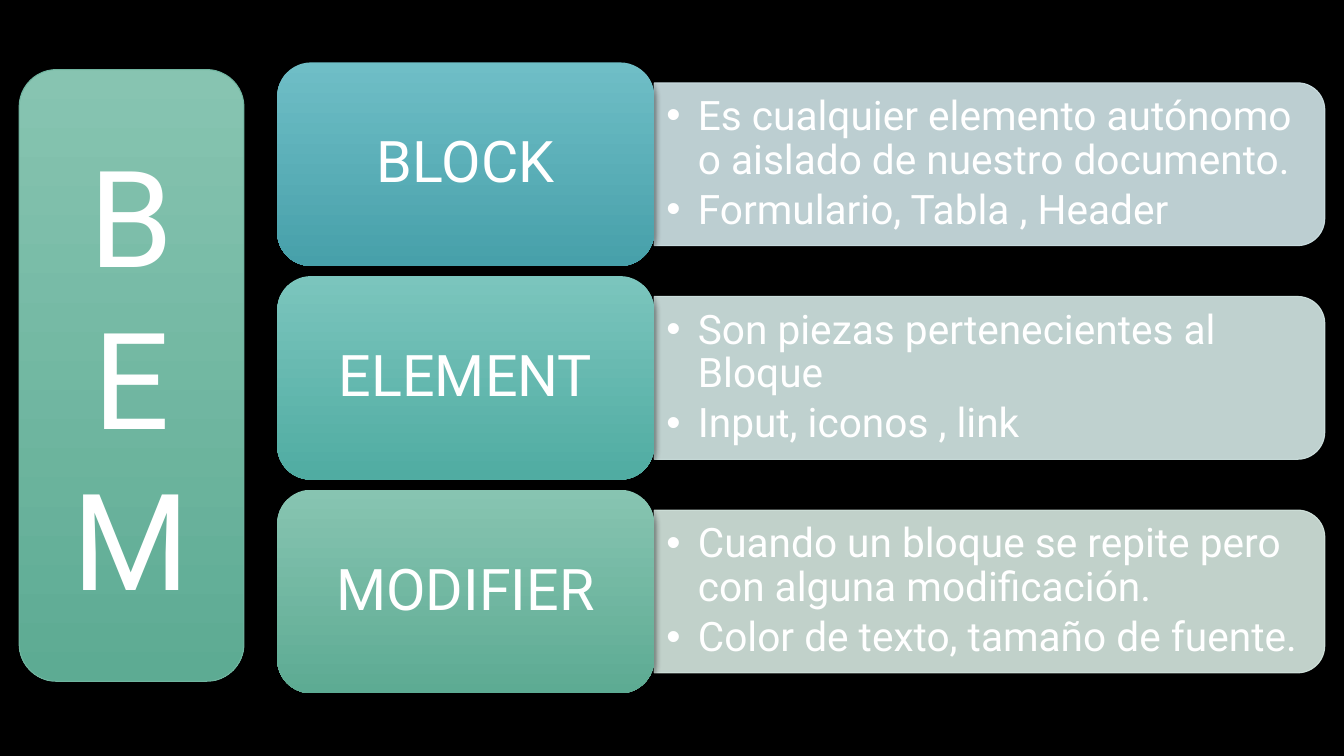
from dataclasses import dataclass

import lxml.etree
import pptx
import pptx.dml.color
import pptx.enum.shapes
import pptx.enum.text
import pptx.oxml.ns
import pptx.shapes.autoshape
import pptx.shapes.base
import pptx.slide
import pptx.util

Pt = pptx.util.Pt
RGBColor = pptx.dml.color.RGBColor
MSO_SHAPE = pptx.enum.shapes.MSO_SHAPE
PP_ALIGN = pptx.enum.text.PP_ALIGN
qn = pptx.oxml.ns.qn

BLACK = RGBColor(0x00, 0x00, 0x00)
WHITE = RGBColor(0xFF, 0xFF, 0xFF)
BLUE_TOP = RGBColor(0x6F, 0xBE, 0xC6)
BLUE_BOTTOM = RGBColor(0x47, 0xA0, 0xAA)
BLUE_PALE = RGBColor(0xD1, 0xE5, 0xE8)
TEAL_TOP = RGBColor(0x7B, 0xC5, 0xBD)
TEAL_BOTTOM = RGBColor(0x50, 0xAC, 0xA2)
TEAL_PALE = RGBColor(0xD4, 0xE8, 0xE6)
GREEN_TOP = RGBColor(0x87, 0xC4, 0xB1)
GREEN_BOTTOM = RGBColor(0x5D, 0xAB, 0x93)
GREEN_PALE = RGBColor(0xD6, 0xE8, 0xE1)
GREEN_LINE = RGBColor(0x70, 0xB5, 0xA0)

FONT = "Roboto"
TILE_LEFT, TILE_TOP, TILE_W, TILE_H = 198, 44.6, 269.3, 145.4
ROW_PITCH = 152.6
PANEL_LEFT, PANEL_W, PANEL_H = TILE_LEFT + TILE_W, 479, 116.3
LIST_W, LIST_H = 473.8, 105
PILLAR = (13.7, 49.7, 160.6, 437)


@dataclass(frozen=True)
class Concept:
    name: str
    points: tuple[str, ...]
    top: RGBColor
    bottom: RGBColor
    pale: RGBColor


CONCEPTS = (
    Concept("BLOCK",
            ("Es cualquier elemento autónomo o aislado de nuestro documento.",
             "Formulario, Tabla , Header"),
            BLUE_TOP, BLUE_BOTTOM, BLUE_PALE),
    Concept("ELEMENT",
            ("Son piezas pertenecientes al Bloque", "Input, iconos , link"),
            TEAL_TOP, TEAL_BOTTOM, TEAL_PALE),
    Concept("MODIFIER",
            ("Cuando un bloque se repite pero con alguna modificación.",
             "Color de texto, tamaño de fuente."),
            GREEN_TOP, GREEN_BOTTOM, GREEN_PALE),
)


def place(sp: pptx.shapes.base.BaseShape, left: float, top: float,
          width: float, height: float) -> None:
    sp.left, sp.top = Pt(left), Pt(top)
    sp.width, sp.height = Pt(width), Pt(height)
    sp._element.getparent().append(sp._element)


def write_text(sp: pptx.shapes.base.BaseShape, text: str, *, size: float,
               align: PP_ALIGN = PP_ALIGN.CENTER, spacing: float = 0.9,
               after: float = 0, inset: tuple[float, float] = (7.2, 3.6),
               bullet_indent: float = 0) -> None:
    tf = sp.text_frame
    tf.text = text
    tf.word_wrap = True
    tf.auto_size = pptx.enum.text.MSO_AUTO_SIZE.NONE
    tf.vertical_anchor = pptx.enum.text.MSO_ANCHOR.MIDDLE
    tf.margin_left = tf.margin_right = Pt(inset[0])
    tf.margin_top = tf.margin_bottom = Pt(inset[1])
    for p in tf.paragraphs:
        p.alignment = align
        p.line_spacing = spacing
        p.space_before = Pt(0)
        p.space_after = Pt(after)
        for r in p.runs:
            r.font.name = FONT
            r.font.size = Pt(size)
            r.font.bold = False
            r.font.color.rgb = WHITE
        if bullet_indent:
            pPr = p._p.get_or_add_pPr()
            pPr.set("marL", str(Pt(bullet_indent)))
            pPr.set("indent", str(-Pt(bullet_indent)))
            lxml.etree.SubElement(pPr, qn("a:buChar"), char="•")


def add_shadow(sp: pptx.shapes.autoshape.Shape) -> None:
    sp.shadow.inherit = False
    effects = sp._element.spPr.find(qn("a:effectLst"))
    shadow = lxml.etree.SubElement(
        effects, qn("a:outerShdw"), blurRad=str(Pt(5)), dist=str(Pt(2)),
        dir="5400000", algn="ctr", rotWithShape="0")
    color = lxml.etree.SubElement(shadow, qn("a:srgbClr"), val=str(BLACK))
    lxml.etree.SubElement(color, qn("a:alpha"), val="60000")


def add_tile(s: pptx.slide.Slide, left: float, top: float, width: float,
             height: float, colors: tuple[RGBColor, RGBColor],
             line: RGBColor | None = None) -> pptx.shapes.autoshape.Shape:
    sp = s.shapes.add_shape(MSO_SHAPE.ROUNDED_RECTANGLE, Pt(left), Pt(top),
                            Pt(width), Pt(height))
    sp.fill.gradient()
    sp.fill.gradient_angle = 270
    for stop, position, color in zip(sp.fill.gradient_stops, (0, 1), colors):
        stop.position = position
        stop.color.rgb = color
    if line is None:
        sp.line.fill.background()
    else:
        sp.line.color.rgb = line
        sp.line.width = Pt(0.75)
    add_shadow(sp)
    return sp


def add_panel(s: pptx.slide.Slide, middle: float, color: RGBColor) -> None:
    center = PANEL_LEFT + PANEL_W / 2
    sp = s.shapes.add_shape(MSO_SHAPE.ROUND_2_SAME_RECTANGLE,
                            Pt(center - PANEL_H / 2), Pt(middle - PANEL_W / 2),
                            Pt(PANEL_H), Pt(PANEL_W))
    sp.rotation = 90
    sp.fill.solid()
    sp.fill.fore_color.rgb = color
    sp.line.color.rgb = color
    sp.line.width = Pt(0.75)
    for clr in sp._element.spPr.iter(qn("a:srgbClr")):
        lxml.etree.SubElement(clr, qn("a:alpha"), val="90000")
    add_shadow(sp)


def add_concept(s: pptx.slide.Slide, concept: Concept, top: float,
                body: pptx.shapes.base.BaseShape) -> None:
    middle = top + TILE_H / 2
    add_panel(s, middle, concept.pale)
    place(body, PANEL_LEFT, middle - LIST_H / 2, LIST_W, LIST_H)
    write_text(body, "\n".join(concept.points), size=29, align=PP_ALIGN.LEFT,
               after=4.35, inset=(8.7, 4.35), bullet_indent=22.5)
    tile = add_tile(s, TILE_LEFT, top, TILE_W, TILE_H,
                    (concept.top, concept.bottom))
    write_text(tile, concept.name, size=41, inset=(19, 13))


def main() -> None:
    prs = pptx.Presentation()
    prs.slide_width, prs.slide_height = Pt(960), Pt(540)
    s = prs.slides.add_slide(prs.slide_layouts.get_by_name("Comparison"))
    s.background.fill.solid()
    s.background.fill.fore_color.rgb = BLACK

    title, *bodies, spare = s.placeholders
    spare._element.getparent().remove(spare._element)

    add_tile(s, *PILLAR, (GREEN_TOP, GREEN_BOTTOM), line=GREEN_LINE)
    place(title, *PILLAR)
    write_text(title, "\n".join("BEM"), size=96, spacing=1.0)

    for i, (concept, body) in enumerate(zip(CONCEPTS, bodies)):
        add_concept(s, concept, TILE_TOP + i * ROW_PITCH, body)

    prs.save("out.pptx")


if __name__ == "__main__":
    main()
